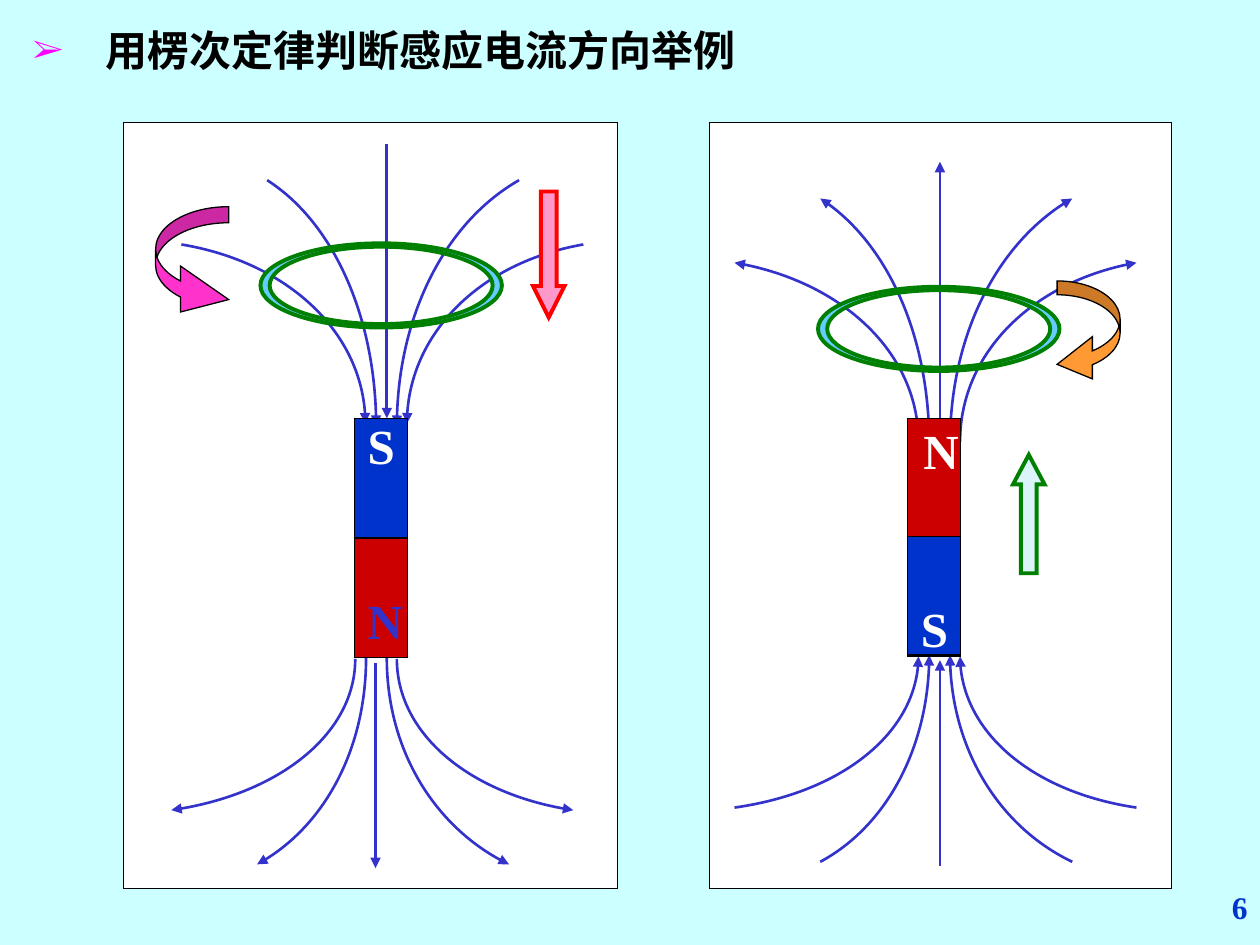
from lxml import etree
from pptx import Presentation
from pptx.dml.color import RGBColor
from pptx.enum.shapes import MSO_CONNECTOR, MSO_SHAPE
from pptx.enum.text import MSO_ANCHOR, MSO_AUTO_SIZE, PP_ALIGN
from pptx.oxml.ns import qn
from pptx.util import Inches, Pt

RECT, DOWN, UP = MSO_SHAPE.RECTANGLE, MSO_SHAPE.DOWN_ARROW, MSO_SHAPE.UP_ARROW
CURVED_RIGHT, CURVED_LEFT = MSO_SHAPE.CURVED_RIGHT_ARROW, MSO_SHAPE.CURVED_LEFT_ARROW
STRAIGHT = MSO_CONNECTOR.STRAIGHT
LEFT, RIGHT = PP_ALIGN.LEFT, PP_ALIGN.RIGHT
TOP, NO_FIT = MSO_ANCHOR.TOP, MSO_AUTO_SIZE.NONE

THEME = {
    "font": "Times New Roman",
    "title_size": 24, "pole_size": 28, "page_size": 18,
    "background": "CCFFFF", "panel": "FFFFFF", "ink": "000000",
    "bullet": "FF00FF", "field": "3333CC", "north": "CC0000", "south": "0033CC",
    "ring": "66CCFF", "green": "008000", "down": "FF99CC", "down_edge": "FF0000",
    "up": "DBF4F9", "left_current": "FF33CC", "right_current": "FF9933",
    "thin": 0.75, "field_line": 1.5, "thick": 2.25,
}

prs = Presentation()
prs.slide_width, prs.slide_height = Inches(10), Inches(7.5)
COL, ROW = prs.slide_width // 100, prs.slide_height // 75  # 100 x 75 grid


def grid(*lengths):
    """Turn alternating columns and rows into slide lengths."""
    return [round(n * (ROW if i % 2 else COL)) for i, n in enumerate(lengths)]


def finish(shape, fill, edge, weight):
    """Set fill and outline; every three freeform segments become one Bezier curve."""
    shape.shadow.inherit = False
    if fill:
        shape.fill.solid()
        shape.fill.fore_color.rgb = RGBColor.from_string(THEME[fill])
    else:
        shape.fill.background()
    shape.line.color.rgb = RGBColor.from_string(THEME[edge])
    shape.line.width = Pt(THEME[weight])
    etree.SubElement(shape._element.spPr.find(qn("a:ln")), qn("a:miter"), lim="800000")
    segments = list(shape._element.iter(qn("a:lnTo")))
    for first in range(0, len(segments), 3):
        bezier = etree.Element(qn("a:cubicBezTo"))
        segments[first].addprevious(bezier)
        for segment in segments[first:first + 3]:
            bezier.append(segment[0])
            segment.getparent().remove(segment)


slide = prs.slides.add_slide(prs.slide_layouts[5])
slide.background.fill.solid()
slide.background.fill.fore_color.rgb = RGBColor.from_string(THEME["background"])

# Title with its arrow bullet
title = slide.shapes.title
title.left, title.top, title.width, title.height = grid(1.6, 1.45, 61, 5)
title.text_frame.text = "用楞次定律判断感应电流方向举例"
frame_format = {"vertical_anchor": TOP, "auto_size": NO_FIT, "word_wrap": True}
for key, value in frame_format.items():
    setattr(title.text_frame, key, value)
heading = title.text_frame.paragraphs[0]
heading.alignment = LEFT
properties = heading._p.get_or_add_pPr()
hanging = grid(5.8)[0]
properties.set("marL", str(hanging))
properties.set("indent", str(-hanging))
bullet_color = etree.SubElement(properties, qn("a:buClr"))
etree.SubElement(bullet_color, qn("a:srgbClr"), val=THEME["bullet"])
etree.SubElement(properties, qn("a:buSzPct"), val="80000")
etree.SubElement(properties, qn("a:buFont"), typeface=THEME["font"])
etree.SubElement(properties, qn("a:buChar"), char="➢")
heading_format = {"name": THEME["font"], "size": Pt(THEME["title_size"]), "bold": True}
for key, value in heading_format.items():
    setattr(heading.font, key, value)
heading.font.color.rgb = RGBColor.from_string(THEME["ink"])

# White panels
for left, width in [(9.8, 39.2), (56.3, 36.7)]:
    panel = slide.shapes.add_shape(RECT, *grid(left, 9.7, width, 60.8))
    finish(panel, "panel", "ink", "thin")

# Field lines: one fan at each pole, every line running from its far end to the pole
# Offsets from the axis: far end, pole end, steep or shallow
FAN = [(-16.3, -1.7, "shallow"), (-9.5, -0.85, "steep"),
       (10.5, 0.8, "steep"), (15.6, 1.6, "shallow")]
# Bend: shares of the span for the control points
BEND = {"steep": (0.4, 0.17, 0.565), "shallow": (0.42, 0.1, 0.515)}
ABOVE = {"steep": (14.3, 33.8), "shallow": (19.4, 33.6), "axis": (11.4, 33.2)}
BELOW = {"steep": (68.6, 52.2), "shallow": (64.3, 52.3), "axis": (68.9, 52.6)}
# Curve axis, straight line, rows, shift down, arrow end
fans = [
    (30.7, 30.7, ABOVE, 0, "a:tailEnd"),
    (29.9, 29.8, BELOW, 0, "a:headEnd"),
    (74.6, 74.6, ABOVE, 1.45, "a:headEnd"),
    (74.6, 74.6, BELOW, -0.2, "a:tailEnd"),
]
for axis, middle, rows, shift, arrow_end in fans:
    far_y, pole_y = rows["axis"]
    axis_line = slide.shapes.add_connector(
        STRAIGHT, *grid(middle, far_y + shift, middle, pole_y + shift))
    axis_line.line.color.rgb = RGBColor.from_string(THEME["field"])
    axis_line.line.width = Pt(THEME["field_line"])
    etree.SubElement(axis_line._element.spPr, qn("a:effectLst"))
    field_lines = [axis_line]
    for far_dx, pole_dx, bend in FAN:
        far_x, pole_x = axis + far_dx, axis + pole_dx
        far_y, pole_y = (y + shift for y in rows[bend])
        share_x, share_y, pull = BEND[bend]
        builder = slide.shapes.build_freeform(*grid(far_x, far_y))
        builder.add_line_segments([
            grid(pole_x + share_x * (far_x - pole_x), far_y + share_y * (pole_y - far_y)),
            grid(pole_x, far_y + pull * (pole_y - far_y)),
            grid(pole_x, pole_y)], close=False)
        curve = builder.convert_to_shape()
        finish(curve, None, "field", "field_line")
        field_lines.append(curve)
    for field_line in field_lines:
        outline = field_line._element.spPr.find(qn("a:ln"))
        etree.SubElement(outline, qn(arrow_end), type="triangle")

# Magnets, motion arrows and current arrows
parts = [
    (RECT, (28.15, 33.2, 4.2, 18.9), "south", "ink", "thin", ()),
    (RECT, (28.15, 42.7, 4.2, 9.5), "north", "ink", "thin", ()),
    (RECT, (72.05, 33.2, 4.2, 18.9), "north", "ink", "thin", ()),
    (RECT, (72.05, 42.6, 4.2, 9.4), "south", "ink", "thin", ()),
    (DOWN, (42.3, 15.2, 2.5, 10), "down", "down_edge", "thick", (0.5, 1)),
    (UP, (80.4, 36.1, 2.5, 9.4), "up", "green", "thick", (0.5, 0.94)),
    (CURVED_RIGHT, (12.35, 16.4, 5.8, 9.2), "left_current", "ink", "thin",
     (0.22, 0.63, 0.66)),
    (CURVED_LEFT, (83.9, 22.3, 5, 8.3), "right_current", "ink", "thin",
     (0.22, 0.67, 0.56)),
]
for preset, place, fill, edge, weight, adjustments in parts:
    part = slide.shapes.add_shape(preset, *grid(*place))
    finish(part, fill, edge, weight)
    for index, value in enumerate(adjustments):
        part.adjustments[index] = value

# Conducting rings: an outer and an inner ellipse, each of four quarter curves
K = 0.55  # control arm of a quarter circle
UNIT_CIRCLE = [(-1, 0), (-1, -K), (-K, -1), (0, -1), (K, -1), (1, -K), (1, 0),
               (1, K), (K, 1), (0, 1), (-K, 1), (-1, K), (-1, 0)]
for center_x, center_y in [(30.25, 22.65), (74.5, 26.1)]:
    outer, inner = [
        [grid(center_x + rx * x, center_y + ry * y) for x, y in UNIT_CIRCLE]
        for rx, ry in [(9.58, 3.34), (8.85, 3.07)]]
    builder = slide.shapes.build_freeform(*outer[0])
    builder.add_line_segments(outer[1:], close=True)
    builder.move_to(*inner[0])
    builder.add_line_segments(inner[1:], close=True)
    finish(builder.convert_to_shape(), "ring", "green", "thick")

# Pole letters and page number
labels = [
    ("S", (28.2, 32.5, 4.2, 5.7), "panel", "pole_size", LEFT, False),
    ("N", (28.2, 46.4, 4.8, 5.7), "field", "pole_size", LEFT, False),
    ("N", (72.3, 32.9, 4.8, 5.7), "panel", "pole_size", LEFT, False),
    ("S", (72.1, 47, 4.2, 5.7), "panel", "pole_size", LEFT, False),
    ("6", (79.2, 70, 20.8, 5), "south", "page_size", RIGHT, True),
]
for text, place, color, size, alignment, wrap in labels:
    label = slide.shapes.add_textbox(*grid(*place))
    label.text_frame.word_wrap = wrap
    line = label.text_frame.paragraphs[0]
    line.text, line.alignment = text, alignment
    label_format = {"name": THEME["font"], "size": Pt(THEME[size]), "bold": True}
    for key, value in label_format.items():
        setattr(line.font, key, value)
    line.font.color.rgb = RGBColor.from_string(THEME[color])

prs.save("out.pptx")
